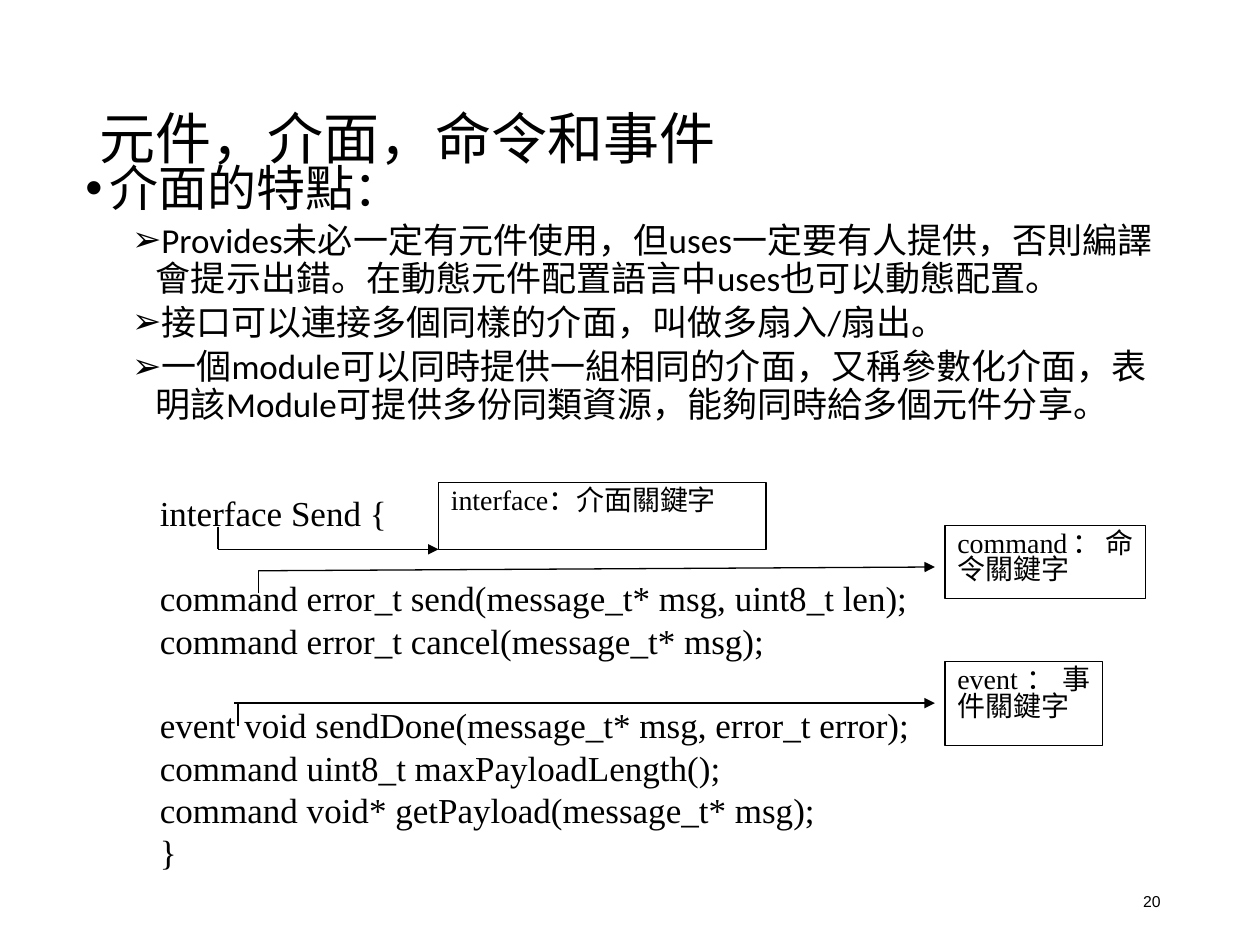
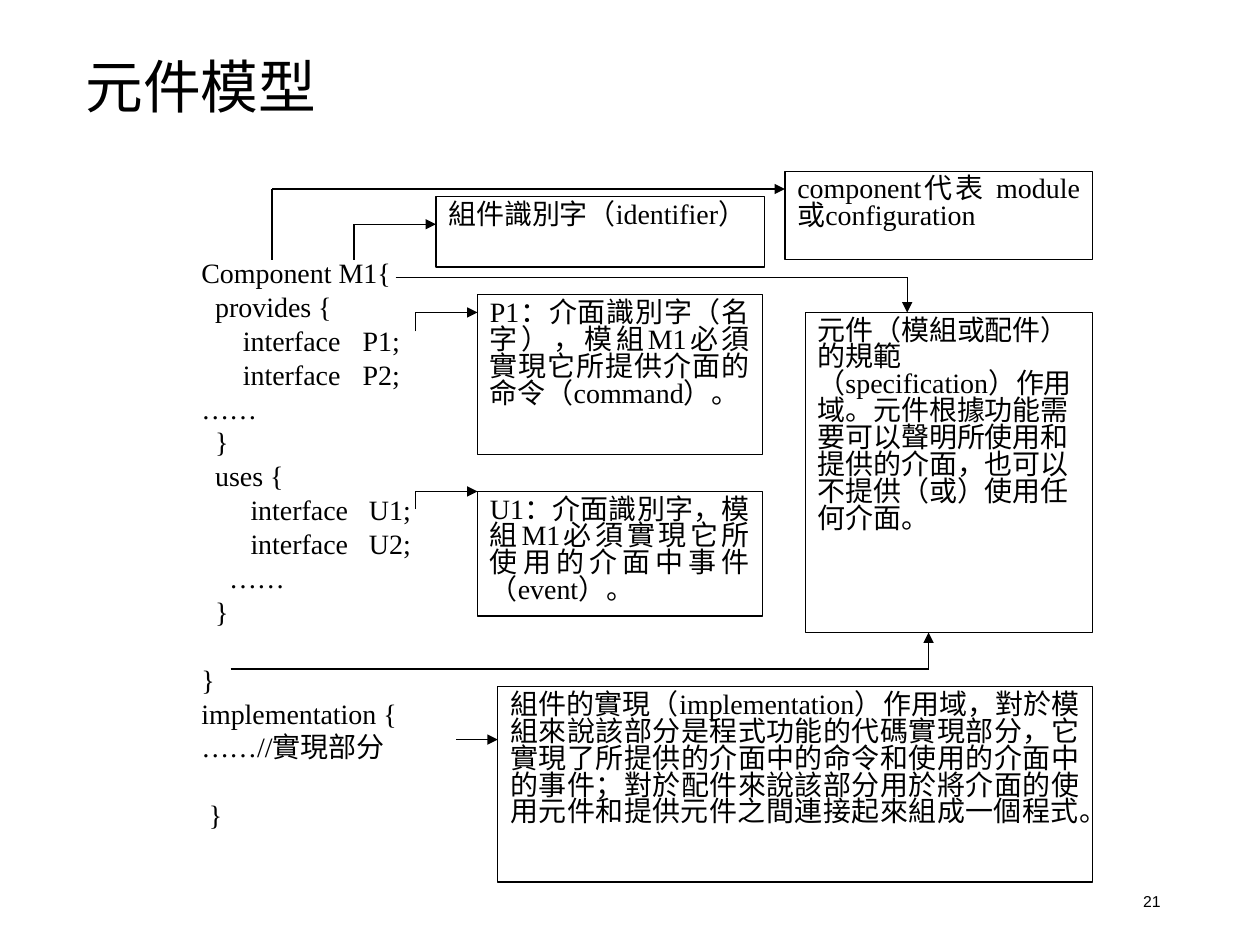
from itertools import pairwise

from lxml import etree
from pptx import Presentation
from pptx import util as u
from pptx.dml.color import RGBColor
from pptx.enum import shapes, text
from pptx.oxml.ns import qn

# Shared style; the grid has 10 columns and 7.5 rows of one inch
COLS, ROWS = 10, 7.5
INK = RGBColor(0, 0, 0)
PAPER = RGBColor(255, 255, 255)
SANS, SERIF, PLAIN = "Calibri", "Times New Roman", "Arial"
RULE = u.Pt(0.75)
LEFT, RIGHT, JUST = (text.PP_ALIGN.LEFT, text.PP_ALIGN.RIGHT,
                     text.PP_ALIGN.JUSTIFY)
TOP, MID = text.MSO_ANCHOR.TOP, text.MSO_ANCHOR.MIDDLE


def grid(*vals):
    return [u.Inches(v) for v in vals]


def child(node, tag, **attrs):
    return etree.SubElement(node, qn(tag), attrs)


# Text
def add_para(frame, words, first=False, size=16, font=SERIF, align=LEFT,
             lead=0.8, gap=4, bullet=None, margin=0, stops=()):
    para = frame.paragraphs[0] if first else frame.add_paragraph()
    para.alignment, para.line_spacing = align, lead
    para.space_before = u.Pt(gap)
    props = para._p.get_or_add_pPr()
    if bullet:
        props.set("marL", str(u.Inches(margin)))
        props.set("indent", str(u.Inches(-0.19)))
        child(props, "a:buFont", typeface=PLAIN)
        child(props, "a:buChar", char=bullet)
    if stops:
        tabs = child(props, "a:tabLst")
        for stop in stops:
            child(tabs, "a:tab", pos=str(u.Inches(stop)), algn="l")
    run = para.add_run()
    run.text = words
    run.font.size, run.font.name = u.Pt(size), font
    run.font.color.rgb = INK


def set_frame(shape, anchor=TOP, head=0.05):
    frame = shape.text_frame
    frame.word_wrap = True
    frame.vertical_anchor = anchor
    frame.margin_left, frame.margin_right = grid(0.1, 0.1)
    frame.margin_top, frame.margin_bottom = grid(head, 0.05)
    return frame


def add_text(slide, area, items, anchor=TOP, head=0.05, **style):
    """Each item is a pair: the words and their own format."""
    frame = set_frame(slide.shapes.add_textbox(*grid(*area)), anchor, head)
    for i, (words, own) in enumerate(items):
        add_para(frame, words, first=i == 0, **{**style, **own})


# Shapes
def add_note(slide, area, words, align=JUST):
    box = slide.shapes.add_shape(shapes.MSO_SHAPE.RECTANGLE, *grid(*area))
    box.shadow.inherit = False
    box.fill.solid()
    box.fill.fore_color.rgb = PAPER
    box.line.color.rgb, box.line.width = INK, RULE
    add_para(set_frame(box), words, first=True, align=align)


def add_route(slide, *stops, arrow=True):
    """Straight pieces through the stops, with an arrow at the last."""
    for start, end in pairwise(stops):
        line = slide.shapes.add_connector(
            shapes.MSO_CONNECTOR.STRAIGHT, *grid(*start, *end))
        line.line.color.rgb, line.line.width = INK, RULE
        if arrow and end == stops[-1]:
            child(line.line._get_or_add_ln(), "a:tailEnd", type="triangle")
        child(line._element.spPr, "a:effectLst")


def add_page(deck, title, area, size, number):
    slide = deck.slides.add_slide(deck.slide_layouts[6])
    add_text(slide, area, [(title, {})], anchor=MID, size=size, font=SANS,
             lead=0.9, gap=0)
    add_text(slide, (7.06, 6.95, 2.25, 0.4), [(number, {})], anchor=MID,
             size=9, font=PLAIN, align=RIGHT, lead=1, gap=0)
    return slide


# Interface traits
def add_traits(deck):
    slide = add_page(deck, "元件，介面，命令和事件",
                     (0.69, 0.4, 8.63, 1.45), 32, "20")
    top = dict(size=28, gap=7.5, bullet="•", margin=0.19)
    sub = dict(size=20, gap=3.7, bullet="➢", margin=0.56)
    add_text(slide, (0.58, 1.25, 8.83, 2.5), [
        ("介面的特點：", top),
        ("Provides未必一定有元件使用，但uses一定要有人提供，否則編譯會提示出錯。"
         "在動態元件配置語言中uses也可以動態配置。", sub),
        ("接口可以連接多個同樣的介面，叫做多扇入/扇出。", sub),
        ("一個module可以同時提供一組相同的介面，又稱參數化介面，"
         "表明該Module可提供多份同類資源，能夠同時給多個元件分享。", sub),
    ], font=SANS, lead=0.9)

    # Code, with a line's gap before each group
    group = dict(gap=29.2)
    add_text(slide, (1.17, 3.92, 6.33, 3.33), [
        ("interface Send {", {}),
        ("command error_t send(message_t* msg, uint8_t len);", group),
        ("command error_t cancel(message_t* msg);", {}),
        ("event void sendDone(message_t* msg, error_t error);", group),
        ("command uint8_t maxPayloadLength();", {}),
        ("command void* getPayload(message_t* msg);", {}),
        ("}", {}),
    ], size=20, gap=5)

    # Keyword notes
    add_route(slide, (2.05, 4.71), (2.05, 4.53), (7.42, 4.5))
    add_route(slide, (1.73, 4.18), (1.73, 4.36), (3.48, 4.36))
    add_route(slide, (1.89, 5.59), (1.89, 5.76), arrow=False)
    add_route(slide, (1.86, 5.58), (7.42, 5.58))
    add_note(slide, (7.5, 4.17, 1.59, 0.58), "command：命令關鍵字")
    add_note(slide, (3.48, 3.83, 2.6, 0.53), "interface：介面關鍵字")
    add_note(slide, (7.5, 5.25, 1.25, 0.67), "event：事件關鍵字")


# Component model
def add_model(deck):
    slide = add_page(deck, "元件模型", (0.58, 0.25, 9.07, 0.93), 33, "21")
    near = dict(stops=[0.11])
    port = dict(stops=[0.33, 1.28])
    use = dict(stops=[0.39, 1.33])
    group = dict(gap=23.4)
    add_text(slide, (1.5, 1.17, 7, 5.64), [
        ("Component M1{", {}),
        ("\tprovides {", near),
        ("\tinterface\tP1;", port),
        ("\tinterface\tP2;", port),
        ("……", {}),
        ("\t}", near),
        ("\tuses {", near),
        ("\tinterface\tU1;", use),
        ("\tinterface\tU2;", use),
        ("\t……", dict(stops=[0.22])),
        ("\t}", near),
        ("}", group),
        ("implementation {", {}),
        ("……//實現部分", {}),
        ("\t}", dict(stops=[0.06], **group)),
    ], head=0.91)

    # Routes from the code to the notes
    for route in [
        [(2.81, 2.06), (2.81, 1.78), (3.46, 1.78)],
        [(3.3, 2.63), (3.3, 2.48), (3.79, 2.48)],
        [(3.3, 4.04), (3.3, 3.9), (3.79, 3.9)],
        [(3.62, 5.87), (3.95, 5.87)],
        [(3.14, 2.2), (7.2, 2.2), (7.2, 2.48)],
        [(1.83, 5.31), (7.37, 5.31), (7.37, 5.02)],
        [(2.16, 2.06), (2.16, 1.5), (6.23, 1.5)],
    ]:
        add_route(slide, *route)

    # Notes
    add_note(slide, (3.95, 5.45, 4.72, 1.55),
             "組件的實現（implementation）作用域，對於模組來說該部分是程式功能的"
             "代碼實現部分，它實現了所提供的介面中的命令和使用的介面中的事件；"
             "對於配件來說該部分用於將介面的使用元件和提供元件之間連接起來"
             "組成一個程式。")
    add_note(slide, (6.39, 2.48, 2.28, 2.54),
             "元件（模組或配件）的規範（specification）作用域。元件根據功能需要"
             "可以聲明所使用和提供的介面，也可以不提供（或）使用任何介面。", LEFT)
    add_note(slide, (6.23, 1.36, 2.44, 0.7),
             "component代表 module或configuration")
    add_note(slide, (3.46, 1.56, 2.61, 0.56), "組件識別字（identifier）")
    add_note(slide, (3.79, 2.34, 2.26, 1.27),
             "P1：介面識別字（名字），模組M1必須實現它所提供介面的命令（command）。")
    add_note(slide, (3.79, 3.9, 2.26, 0.99),
             "U1：介面識別字，模組M1必須實現它所使用的介面中事件（event）。")


def main():
    deck = Presentation()
    deck.slide_width, deck.slide_height = grid(COLS, ROWS)
    add_traits(deck)
    add_model(deck)
    deck.save("out.pptx")


if __name__ == "__main__":
    main()
